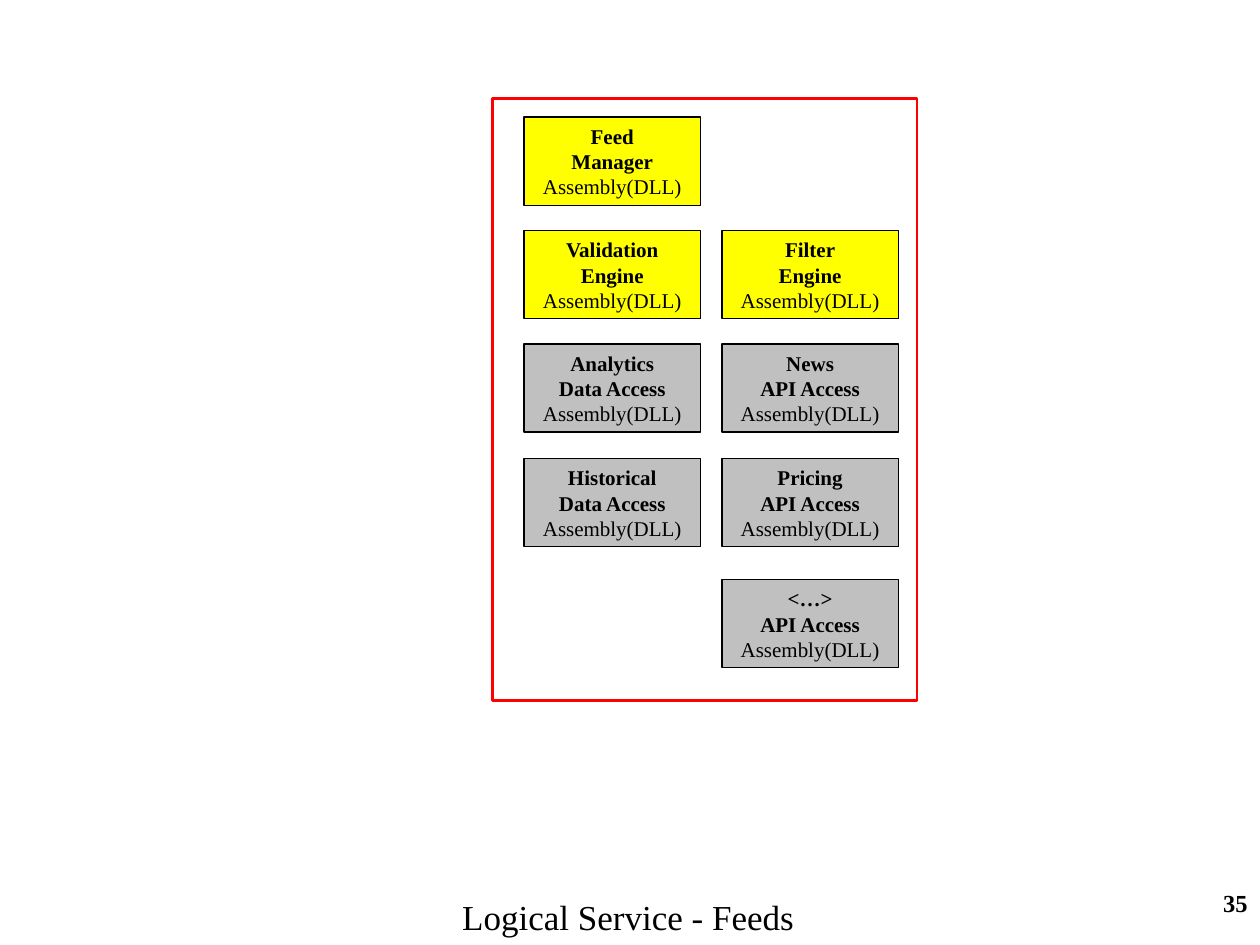
"""Build the Logical Service - Feeds slide: a frame of assembly boxes."""
from dataclasses import dataclass

from pptx import Presentation
from pptx.dml.color import RGBColor
from pptx.enum.shapes import MSO_SHAPE
from pptx.enum.text import MSO_ANCHOR, MSO_AUTO_SIZE, PP_ALIGN
from pptx.shapes.autoshape import Shape
from pptx.slide import Slide
from pptx.text.text import _Paragraph
from pptx.util import Inches, Pt

RECTANGLE = MSO_SHAPE.RECTANGLE
MIDDLE = MSO_ANCHOR.MIDDLE
GROW = MSO_AUTO_SIZE.SHAPE_TO_FIT_TEXT
LEFT, CENTER, RIGHT = PP_ALIGN.LEFT, PP_ALIGN.CENTER, PP_ALIGN.RIGHT


@dataclass(frozen=True)
class Theme:
    font: str = "Times New Roman"
    ink: RGBColor = RGBColor(0, 0, 0)
    frame: RGBColor = RGBColor(0xFF, 0, 0)
    engine: RGBColor = RGBColor(0xFF, 0xFF, 0)
    access: RGBColor = RGBColor(0xC0, 0xC0, 0xC0)
    title_size: float = 20
    number_size: float = 14
    box_size: float = 12
    frame_line: float = 1.5
    box_line: float = 0.75


@dataclass(frozen=True)
class Assembly:
    subject: str
    role: str
    column: int
    row: int
    is_engine: bool = False


THEME = Theme()
COLUMN_LEFTS = (4.16, 5.73)
ROW_TOPS = (0.93, 1.83, 2.73, 3.64, 4.6)
BOX_WIDTH, BOX_HEIGHT = 1.4, 0.7
ASSEMBLY_KIND = "Assembly(DLL)"
ASSEMBLIES = (
    Assembly("Feed", "Manager", 0, 0, True),
    Assembly("Validation", "Engine", 0, 1, True),
    Assembly("Filter", "Engine", 1, 1, True),
    Assembly("Analytics", "Data Access", 0, 2),
    Assembly("News", "API Access", 1, 2),
    Assembly("Historical", "Data Access", 0, 3),
    Assembly("Pricing", "API Access", 1, 3),
    Assembly("<…>", "API Access", 1, 4),
)


def add_run(paragraph: _Paragraph, text: str, size: float, bold: bool = False) -> None:
    """Append one styled run."""
    run = paragraph.add_run()
    run.text = text
    run.font.name = THEME.font
    run.font.size = Pt(size)
    run.font.bold = bold
    run.font.color.rgb = THEME.ink


def add_rectangle(slide: Slide, left: float, top: float, width: float, height: float,
                  line_color: RGBColor, line_width: float) -> Shape:
    """Draw an unfilled, outlined rectangle."""
    rectangle = slide.shapes.add_shape(
        RECTANGLE, Inches(left), Inches(top), Inches(width), Inches(height))
    rectangle.shadow.inherit = False
    rectangle.fill.background()
    rectangle.line.color.rgb = line_color
    rectangle.line.width = Pt(line_width)
    return rectangle


def add_assembly(slide: Slide, assembly: Assembly) -> None:
    """Draw one assembly box in its grid cell."""
    box = add_rectangle(slide, COLUMN_LEFTS[assembly.column], ROW_TOPS[assembly.row],
                        BOX_WIDTH, BOX_HEIGHT, THEME.ink, THEME.box_line)
    box.fill.solid()
    box.fill.fore_color.rgb = THEME.engine if assembly.is_engine else THEME.access
    frame = box.text_frame
    frame.word_wrap = False
    frame.vertical_anchor = MIDDLE
    paragraph = frame.paragraphs[0]
    paragraph.alignment = CENTER
    add_run(paragraph, assembly.subject, THEME.box_size, True)
    if assembly.is_engine:
        paragraph = frame.add_paragraph()
        paragraph.alignment = CENTER
    else:
        paragraph.add_line_break()
    add_run(paragraph, assembly.role, THEME.box_size, True)
    paragraph.add_line_break()
    add_run(paragraph, ASSEMBLY_KIND, THEME.box_size)


def add_label(slide: Slide, text: str, left: float, top: float, width: float, height: float,
              size: float, alignment: PP_ALIGN, bold: bool = False, wrap: bool = True) -> Shape:
    """Place a single-line text box."""
    label = slide.shapes.add_textbox(
        Inches(left), Inches(top), Inches(width), Inches(height))
    label.text_frame.word_wrap = wrap
    paragraph = label.text_frame.paragraphs[0]
    paragraph.alignment = alignment
    add_run(paragraph, text, size, bold)
    return label


def main() -> None:
    """Build and save the slide."""
    deck = Presentation()
    deck.slide_width, deck.slide_height = Inches(10), Inches(7.5)
    slide = deck.slides.add_slide(deck.slide_layouts[6])
    add_label(slide, "35", 7.92, 7, 2.08, 0.5, THEME.number_size, RIGHT, bold=True)
    title = add_label(slide, "Logical Service - Feeds", 3.57, 7.06, 2.85, 0.44,
                      THEME.title_size, LEFT, wrap=False)
    title.text_frame.auto_size = GROW
    add_rectangle(slide, 3.91, 0.78, 3.37, 4.78, THEME.frame, THEME.frame_line)
    for assembly in ASSEMBLIES:
        add_assembly(slide, assembly)
    deck.save("out.pptx")


if __name__ == "__main__":
    main()
